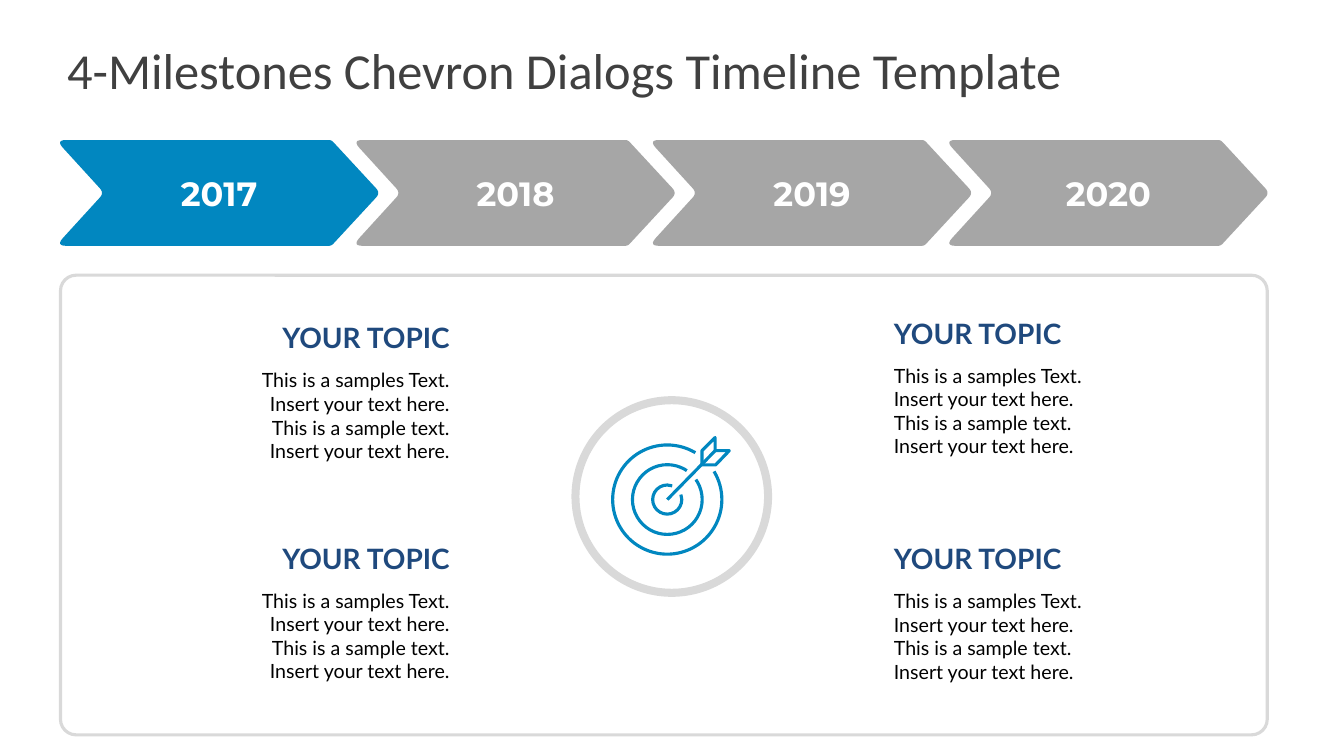
"""Four-milestone chevron timeline with a topic panel, as one slide."""
import math
from lxml import etree
from pptx import Presentation
from pptx import util as u
from pptx.dml.color import RGBColor
from pptx.enum import shapes, text
from pptx.oxml.ns import qn

BLUE, GREY, PALE, NAVY = "0187C0", "A6A6A6", "D9D9D9", "1F497D"
BODY = ("This is a samples Text. Insert your text here. "
        "This is a sample text. Insert your text here.")
SHAPE, ALIGN, ANCHOR = shapes.MSO_SHAPE, text.PP_ALIGN, text.MSO_ANCHOR


def rgb(value):
    """Return the colour for a hex string."""
    return RGBColor.from_string(value)


def paint(sp, fill=None, line=None, width=2.25):
    """Set fill and line of a shape and drop its shadow."""
    sp.shadow.inherit = False
    if fill:
        sp.fill.solid()
        sp.fill.fore_color.rgb = rgb(fill)
    else:
        sp.fill.background()
    if line:
        sp.line.color.rgb = rgb(line)
        sp.line.width = u.Pt(width)
    else:
        sp.line.fill.background()
    return sp


def write(sp, words, size, font, colour, bold=False, align=ALIGN.LEFT,
          anchor=ANCHOR.TOP):
    """Write one formatted paragraph into a shape."""
    tf = sp.text_frame
    tf.word_wrap = True
    tf.vertical_anchor = anchor
    tf.text = words
    p = tf.paragraphs[0]
    p.alignment = align
    r = p.runs[0]
    r.font.size, r.font.name, r.font.bold = u.Pt(size), font, bold
    r.font.color.rgb = rgb(colour)
    return tf


def place(x, y, w, h):
    """Convert a box in points to lengths."""
    return u.Pt(x), u.Pt(y), u.Pt(w), u.Pt(h)


def polygon(parent, x, y, points):
    """Add a closed outline whose points are relative to x, y."""
    pts = [(u.Pt(x + dx), u.Pt(y + dy)) for dx, dy in points]
    fb = parent.build_freeform(*pts[0])
    fb.add_line_segments(pts[1:], close=True)
    return fb.convert_to_shape()


def rounded(corners, steps=6):
    """Round each (x, y, cut) corner with a sampled curve."""
    points = []
    for i, (x, y, cut) in enumerate(corners):
        ends = []
        for nx, ny, _ in (corners[i - 1], corners[(i + 1) % len(corners)]):
            k = cut / math.hypot(nx - x, ny - y)
            ends.append((x + (nx - x) * k, y + (ny - y) * k))
        (ax, ay), (bx, by) = ends
        for t in (n / steps for n in range(steps + 1)):
            a, c, b = (1 - t) ** 2, 2 * t * (1 - t), t * t
            points.append((a * ax + c * x + b * bx, a * ay + c * y + b * by))
    return points


def title(s, x, y, w, h):
    """Write the slide title."""
    tf = write(s.shapes.add_textbox(*place(x, y, w, h)),
               "4-Milestones Chevron Dialogs Timeline Template",
               36, "Calibri", "404040", anchor=ANCHOR.MIDDLE)
    tf.margin_left = tf.margin_right = tf.margin_top = tf.margin_bottom = 0


def timeline(s, x, y, w, h, years, active):
    """Draw one chevron per year, with the active one in blue."""
    pitch, overlap = w / len(years), 15.1
    pitch = (w - overlap) / len(years)
    cw = pitch + overlap
    outline = rounded([(-3.5, 0, 7.5), (cw - 33.5, 0, 2),
                       (cw + 1.5, h / 2, 4.5), (cw - 33.5, h, 2),
                       (-3.5, h, 7.5), (31, h / 2, 4.5)])
    for i, year in enumerate(years):
        sp = polygon(s.shapes, x + i * pitch, y, outline)
        paint(sp, BLUE if year == active else GREY)
        write(sp, year, 24, "Montserrat", "FFFFFF", True,
              ALIGN.CENTER, ANCHOR.MIDDLE)


def target(s, x, y, size):
    """Draw the ringed target with its arrow."""
    sp = paint(s.shapes.add_shape(SHAPE.DONUT, *place(x, y, size, size)), PALE)
    sp.adjustments[0] = 0.04
    icon = s.shapes.add_group_shape().shapes
    cx, cy = x + size / 2 - 3.2, y + size / 2 + 2.2
    for radius, start, end in ((39, 329, 301), (24.9, 325, 304), (10.4, 340, 290)):
        box = place(cx - radius, cy - radius, 2 * radius, 2 * radius)
        arc = paint(icon.add_shape(SHAPE.ARC, *box), line=BLUE)
        arc.adjustments[0], arc.adjustments[1] = start * 0.6, end * 0.6
    feathers = [(24.8, -34.9), (34.2, -44.3), (34.2, -34.9),
                (44.3, -34.9), (34.6, -24.8), (24.8, -24.8)]
    paint(polygon(icon, cx, cy, feathers), line=BLUE)
    shaft = icon.add_connector(shapes.MSO_CONNECTOR.STRAIGHT, u.Pt(cx), u.Pt(cy),
                               u.Pt(cx + 34.2), u.Pt(cy - 34.9))
    shaft.line.color.rgb = rgb(BLUE)
    shaft.line.width = u.Pt(2.25)
    etree.SubElement(shaft._element.spPr, qn("a:effectLst"))


def topic(s, x, y, w, align):
    """Write a topic heading with its text below."""
    write(s.shapes.add_textbox(*place(x, y, w, 31.5)), "YOUR TOPIC",
          20, "Lato", NAVY, True, align, ANCHOR.BOTTOM)
    write(s.shapes.add_textbox(*place(x, y + 34.4, w, 75)), BODY,
          14, "Lato", "000000", align=align)


def panel(s, x, y, w, h):
    """Draw the framed panel with the target and four topics."""
    frame = s.shapes.add_shape(SHAPE.ROUNDED_RECTANGLE, *place(x, y, w, h))
    paint(frame, line=PALE).adjustments[0] = 0.034
    target(s, x + 365, y + 86.4, 143.3)
    for dx, align, tops in ((115.2, ALIGN.RIGHT, (28.6, 186)),
                            (588.2, ALIGN.LEFT, (25.2, 186.4))):
        for dy in tops:
            topic(s, x + dx, y + dy, 170, align)


def main():
    """Build and save the slide."""
    prs = Presentation()
    prs.slide_width, prs.slide_height = u.Pt(960), u.Pt(540)
    s = prs.slides.add_slide(prs.slide_layouts[6])
    title(s, 48, 21.6, 864, 56)
    timeline(s, 43.4, 100, 862, 75.6, ["2017", "2018", "2019", "2020"], "2017")
    panel(s, 43.2, 196.6, 862, 328.3)
    prs.save("out.pptx")


if __name__ == "__main__":
    main()
